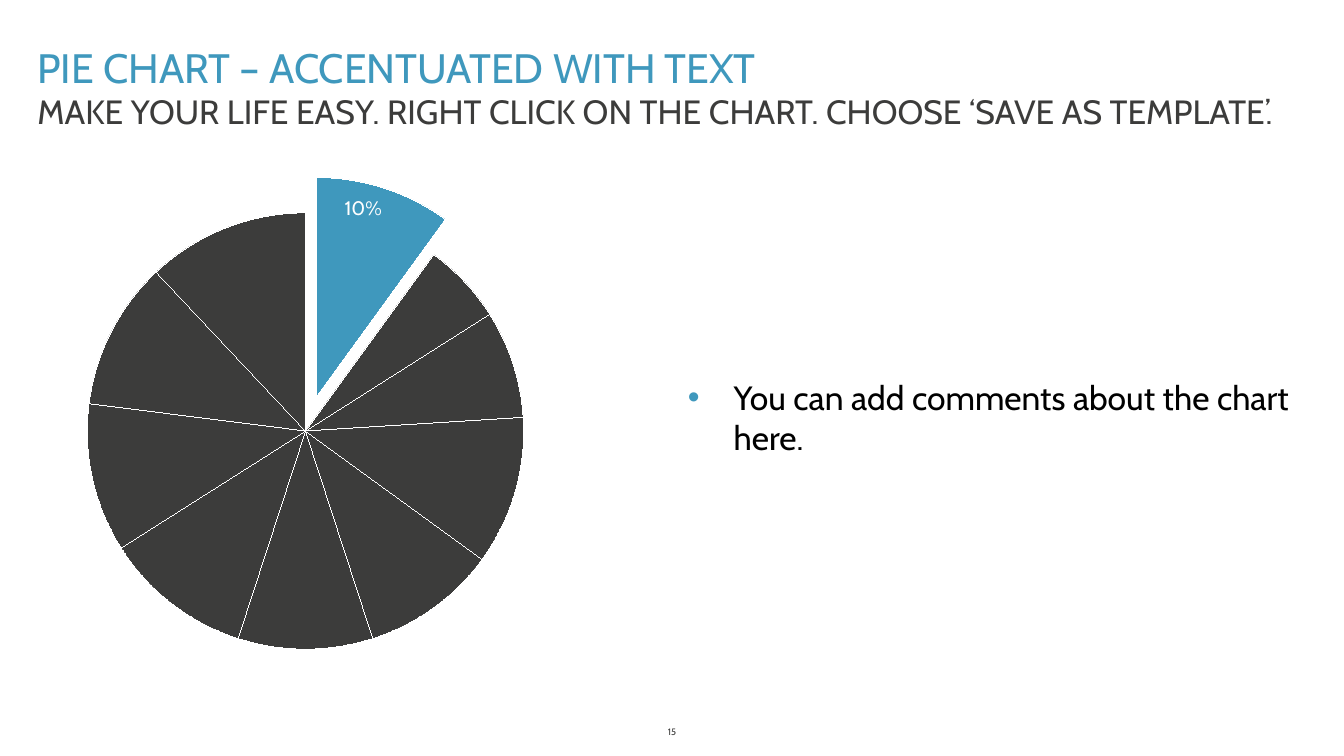
import pptx
import pptx.chart.data
import pptx.dml.color
import pptx.enum.chart
import pptx.enum.text
import pptx.util
from lxml import etree
from pptx.oxml.ns import qn

Inches, Pt = pptx.util.Inches, pptx.util.Pt
RGBColor = pptx.dml.color.RGBColor
Anchor, Align = pptx.enum.text.MSO_ANCHOR, pptx.enum.text.PP_ALIGN

# Content
FONT = "Cabin"
BLUE = RGBColor(0x3F, 0x98, 0xBD)
DARK = RGBColor(0x3C, 0x3C, 0x3B)
BLACK = RGBColor(0, 0, 0)
WHITE = RGBColor(0xFF, 0xFF, 0xFF)

TEXTS = [
    # text, (left, top, width, height), size, colour, anchor, alignment, bullet
    ("PIE CHART – ACCENTUATED WITH TEXT", (0.18, 0.26, 9.57, 0.47),
     22, BLUE, Anchor.BOTTOM, Align.LEFT, False),
    ("MAKE YOUR LIFE EASY. RIGHT CLICK ON THE CHART. CHOOSE ‘SAVE AS TEMPLATE’.",
     (0.18, 0.63, 9.57, 0.4), 18, DARK, Anchor.TOP, Align.LEFT, False),
    ("You can add comments about the chart here.", (5.02, 1.18, 4.72, 3.85),
     18, BLACK, Anchor.MIDDLE, Align.LEFT, True),
    ("15", (4.53, 5.35, 0.94, 0.19), 5, DARK, Anchor.MIDDLE, Align.CENTER, False),
]
SHARES = [10, 6, 8, 11, 10, 10, 11, 11, 11, 12]
CHART_AREA = (0.26, 1.18, 4.33, 3.9)
PLOT_AREA = {"x": 0.09, "y": 0.09, "w": 0.75, "h": 0.86}
EXPLOSION = 17


def apply(target, values):
    for name, value in values.items():
        setattr(target, name, value)


def set_font(font, size, colour):
    apply(font, {"name": FONT, "size": Pt(size)})
    font.color.rgb = colour


def set_line(line, width):
    line.color.rgb = WHITE
    line.width = Pt(width)


def add_bullet(para, colour, indent):
    properties = para._p.get_or_add_pPr()
    properties.set("marL", str(indent))
    properties.set("indent", str(-indent))
    holder = etree.SubElement(properties, qn("a:buClr"))
    etree.SubElement(holder, qn("a:srgbClr"), val=str(colour))
    etree.SubElement(properties, qn("a:buFont"), typeface="Arial")
    etree.SubElement(properties, qn("a:buChar"), char="•")


def add_text(page, text, area, size, colour, anchor, align, bullet):
    box = page.shapes.add_textbox(*map(Inches, area))
    apply(box.text_frame, {"word_wrap": True, "vertical_anchor": anchor})
    para = box.text_frame.paragraphs[0]
    para.alignment = align
    span = para.add_run()
    span.text = text
    set_font(span.font, size, colour)
    if bullet:
        add_bullet(para, BLUE, Inches(0.34))


def add_pie(page):
    data = pptx.chart.data.CategoryChartData()
    data.categories = [str(number + 1) for number in range(len(SHARES))]
    data.add_series("Series 1", SHARES)
    chart = page.shapes.add_chart(
        pptx.enum.chart.XL_CHART_TYPE.PIE, *map(Inches, CHART_AREA), data).chart
    apply(chart, {"has_legend": False, "has_title": False})
    set_font(chart.font, 10.5, WHITE)
    plot = chart.plots[0]
    plot.vary_by_categories = True

    # Slices: hairline edges, the first one stands out
    series = plot.series[0]
    set_line(series.format.line, 0.75)
    for index in range(len(SHARES)):
        look = series.points[index].format
        look.fill.solid()
        look.fill.fore_color.rgb = DARK if index else BLUE
        set_line(look.line, 0)
    first = series._element.find(qn("c:dPt"))
    explosion = etree.Element(qn("c:explosion"), val=str(EXPLOSION))
    first.find(qn("c:spPr")).addprevious(explosion)

    # Percentage on the first slice only
    label = series.points[0].data_label
    set_font(label.font, 10.5, WHITE)
    label.position = pptx.enum.chart.XL_LABEL_POSITION.INSIDE_END
    labels = series._element.find(qn("c:dLbls"))
    shown = labels.find(qn("c:dLbl"))
    for group in (shown, labels):
        for flag in ("LegendKey", "Val", "CatName", "SerName", "Percent"):
            on = group is shown and flag == "Percent"
            group.find(qn("c:show" + flag)).set("val", str(int(on)))

    # Fixed plot area
    plot_area = plot._element.getparent()
    layout = plot_area.find(qn("c:layout"))
    if layout is None:
        layout = etree.Element(qn("c:layout"))
        plot_area.insert(0, layout)
    manual = etree.SubElement(layout, qn("c:manualLayout"))
    settings = {"layoutTarget": "inner", "xMode": "edge", "yMode": "edge", **PLOT_AREA}
    for name, value in settings.items():
        etree.SubElement(manual, qn("c:" + name), val=str(value))


def main():
    deck = pptx.Presentation()
    # Widescreen, 16:9
    apply(deck, {"slide_width": Inches(10), "slide_height": Inches(10) * 9 // 16})
    page = deck.slides.add_slide(deck.slide_layouts[6])
    add_pie(page)
    for item in TEXTS:
        add_text(page, *item)
    deck.save("out.pptx")


if __name__ == "__main__":
    main()
